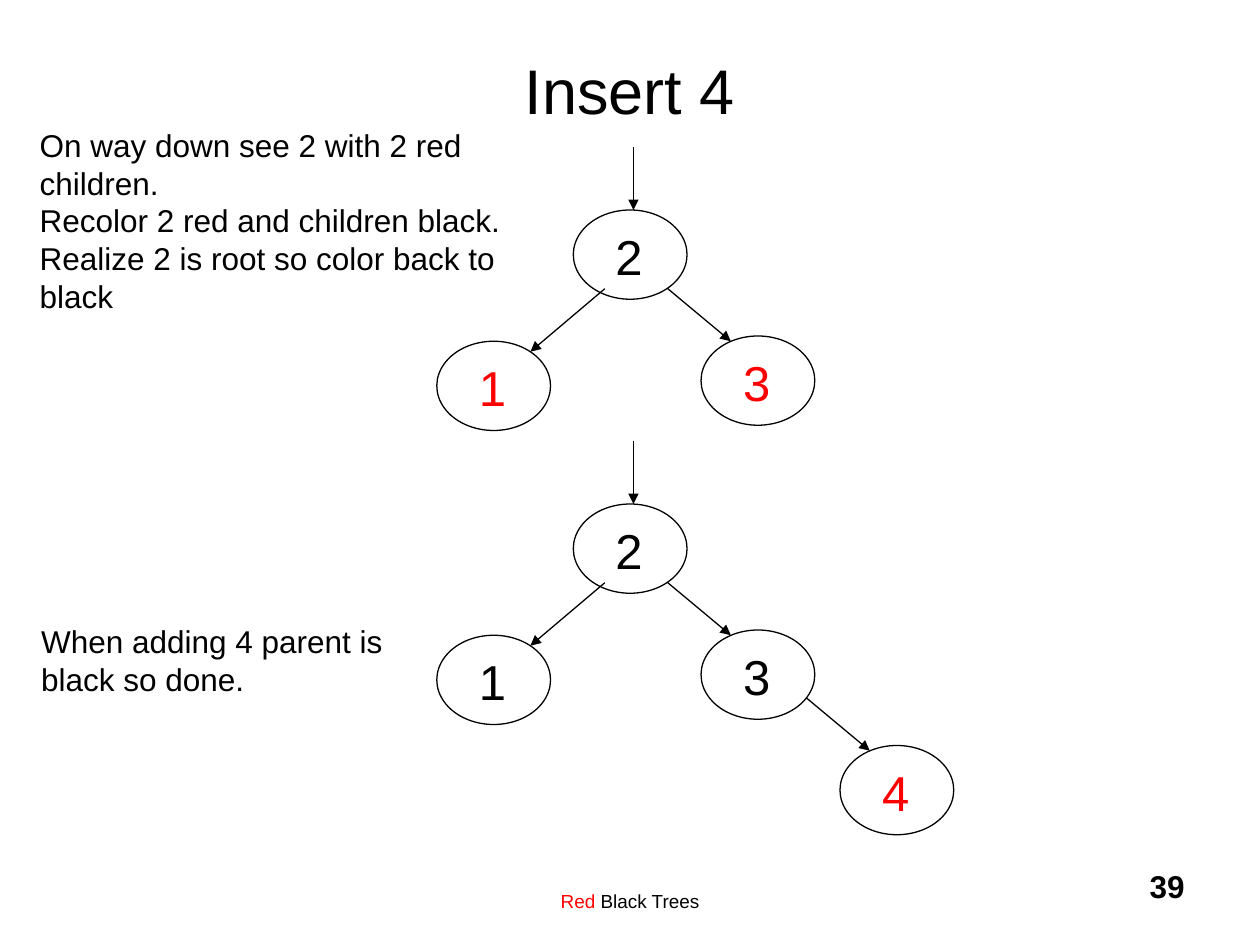
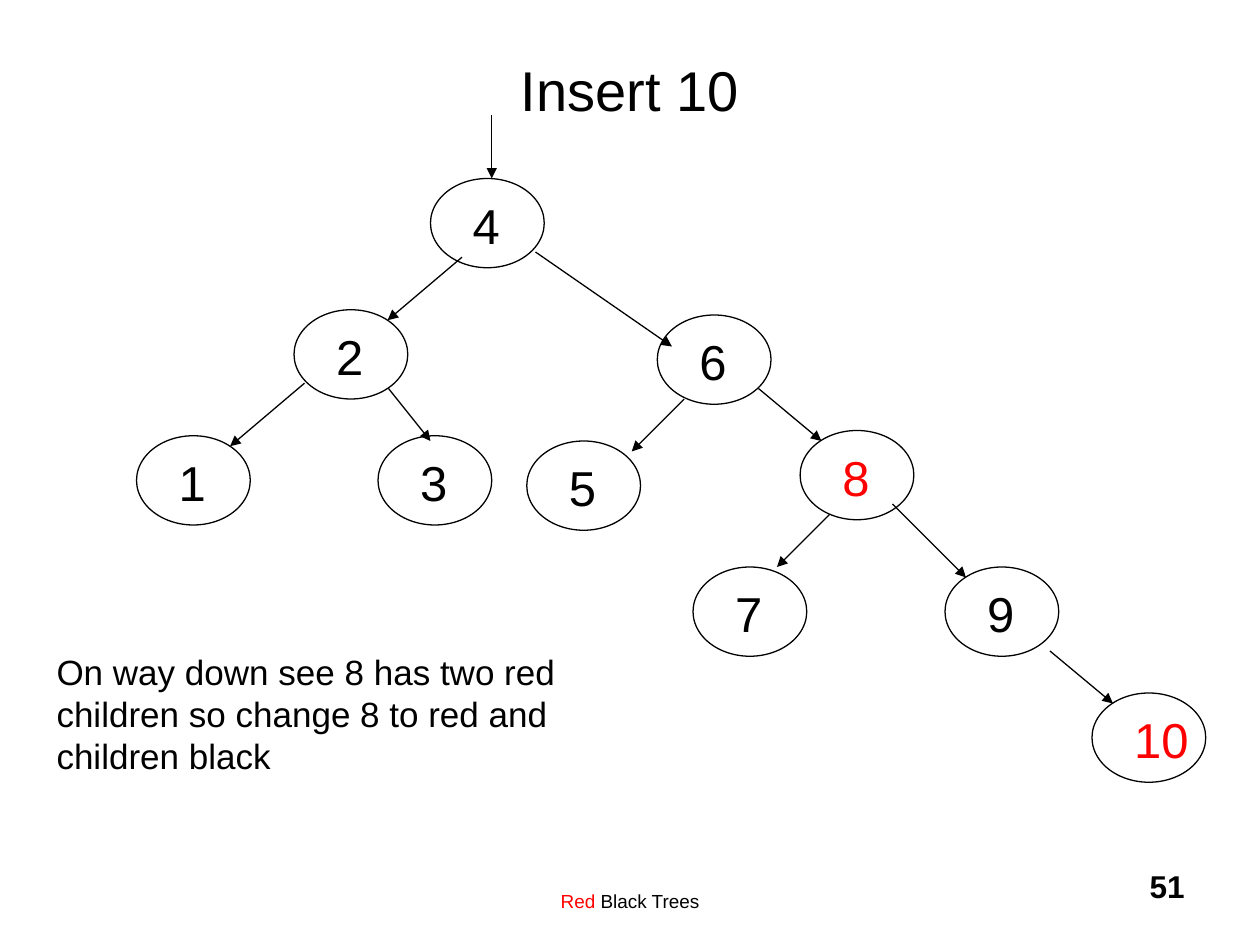
from lxml import etree
from pptx import Presentation
from pptx.dml.color import RGBColor
from pptx.enum.shapes import MSO_CONNECTOR as CONN, MSO_SHAPE as SHAPE
from pptx.enum.text import MSO_ANCHOR as ANCHOR, PP_ALIGN as ALIGN
from pptx.oxml.ns import qn
from pptx.util import Pt

COLORS = {"black": "000000", "red": "FF0000"}
FONT = "Arial"
LINE_HEIGHT = 1.2
NODE_W, NODE_H = 65, 51
KEY_SIZE = 28
KEY_DX, KEY_DY = 17, 6
KEY_WIDTHS = {1: 29.5, 2: 45.5}

# Travel (dx, dy) of the usual arrows
DOWN, LEFT, RIGHT = (0, 36), (-42.5, 36), (36, 30)

# Each node: key, colour, (left, top), start of its incoming arrow, arrow travel
ROOT_2 = ("2", "black", (327.6, 120), (362, 84), DOWN)
CHILDREN = [
    ("1", (249.6, 195), (345.6, 165), LEFT),
    ("3", (400.6, 192), (381.6, 165), RIGHT),
]


def small_tree(child_color, dy):
    """Root 2 with children 1 and 3, moved down by dy."""
    nodes = [ROOT_2] + [(key, child_color, *rest) for key, *rest in CHILDREN]
    return [(key, color, (x, y + dy), (ax, ay + dy), travel)
            for key, color, (x, y), (ax, ay), travel in nodes]


SLIDES = [
    {
        "title": "Insert 4", "title_size": 36, "number": "39",
        "nodes": small_tree("red", 0) + small_tree("black", 168) + [
            ("4", "red", (480, 426), (461, 399), RIGHT),
        ],
        # Each note: lines, size, box
        "notes": [
            (["On way down see 2 with 2 red children.",
              "Recolor 2 red and children black.",
              "Realize 2 is root so color back to black"],
             18, (15.6, 68.4, 311, 115.2)),
            (["When adding 4 parent is black so done."],
             18, (16.4, 352, 214.6, 50.4)),
        ],
    },
    {
        "title": "Insert 10", "title_size": 32, "number": "51",
        "nodes": [
            ("4", "black", (246, 102), (281, 66), DOWN),
            ("2", "black", (168, 177), (264, 147), LEFT),
            ("6", "black", (375.6, 180), (306, 144), (78, 54)),
            ("3", "black", (216, 249), (222, 222), (24, 30)),
            ("5", "black", (301, 252), (391, 228), (-30, 30)),
            ("8", "red", (457.2, 246), (433.4, 222), RIGHT),
            ("1", "black", (78, 249), (174, 219), LEFT),
            ("7", "black", (396, 324), (474, 294), (-30, 30)),
            ("9", "black", (540, 324), (510, 288), (42, 42)),
            ("10", "red", (624, 396), (600, 372), RIGHT),
        ],
        "notes": [
            (["On way down see 8 has two red children so change 8 to red "
              "and children black"], 20, (25.2, 368, 325.4, 79.2)),
        ],
    },
]

FOOTER = [("Red", "red"), (" Black Trees", "black")]
FOOTER_BOX = (222, 505, 276, 23)
NUMBER_BOX = (534, 492, 150, 36)
TITLE_BOX = (54, 6, 612, 90)


def rgb(name):
    return RGBColor.from_string(COLORS[name])


def add_run(p, text, size, color="black", bold=False):
    r = p.add_run()
    r.text = text
    r.font.name, r.font.size, r.font.bold = FONT, Pt(size), bold
    r.font.color.rgb = rgb(color)
    p.line_spacing = Pt(size * LINE_HEIGHT)


def add_box(shapes, box, align=ALIGN.LEFT, wrap=True):
    """Add a text box and return its first paragraph."""
    tf = shapes.add_textbox(*map(Pt, box)).text_frame
    tf.word_wrap = wrap
    p = tf.paragraphs[0]
    p.alignment = align
    return p


def set_line(line):
    line.color.rgb = rgb("black")
    line.width = Pt(0.75)


def add_arrow(slide, start, travel):
    end = [a + d for a, d in zip(start, travel)]
    cn = slide.shapes.add_connector(CONN.STRAIGHT, *map(Pt, (*start, *end)))
    set_line(cn.line)
    etree.SubElement(cn.line._get_or_add_ln(), qn("a:tailEnd"), type="triangle")
    etree.SubElement(cn._element.spPr, qn("a:effectLst"))


def add_node(slide, key, color, x, y):
    shapes = slide.shapes.add_group_shape().shapes
    sp = shapes.add_shape(SHAPE.OVAL, *map(Pt, (x, y, NODE_W, NODE_H)))
    sp.shadow.inherit = False
    sp.fill.background()
    set_line(sp.line)
    box = (x + KEY_DX, y + KEY_DY, KEY_WIDTHS[len(key)], 41)
    add_run(add_box(shapes, box, wrap=False), key, KEY_SIZE, color)


def add_title(slide, text, size):
    sp = slide.shapes.title
    sp.left, sp.top, sp.width, sp.height = map(Pt, TITLE_BOX)
    sp.text_frame.vertical_anchor = ANCHOR.MIDDLE
    p = sp.text_frame.paragraphs[0]
    p.alignment = ALIGN.CENTER
    add_run(p, text, size)


def add_footer(slide, number):
    p = add_box(slide.shapes, FOOTER_BOX, ALIGN.CENTER)
    for text, color in FOOTER:
        add_run(p, text, 10.8, color)
    add_run(add_box(slide.shapes, NUMBER_BOX, ALIGN.RIGHT), number, 18, bold=True)


def add_note(slide, lines, size, box):
    p = add_box(slide.shapes, box)
    for i, text in enumerate(lines):
        if i:
            p.add_line_break()
        add_run(p, text, size)


def main():
    prs = Presentation()
    prs.slide_width, prs.slide_height = Pt(720), Pt(540)
    for content in SLIDES:
        slide = prs.slides.add_slide(prs.slide_layouts[5])
        add_footer(slide, content["number"])
        add_title(slide, content["title"], content["title_size"])
        for key, color, (x, y), start, travel in content["nodes"]:
            add_node(slide, key, color, x, y)
            add_arrow(slide, start, travel)
        for note in content["notes"]:
            add_note(slide, *note)
    prs.save("out.pptx")


if __name__ == "__main__":
    main()
